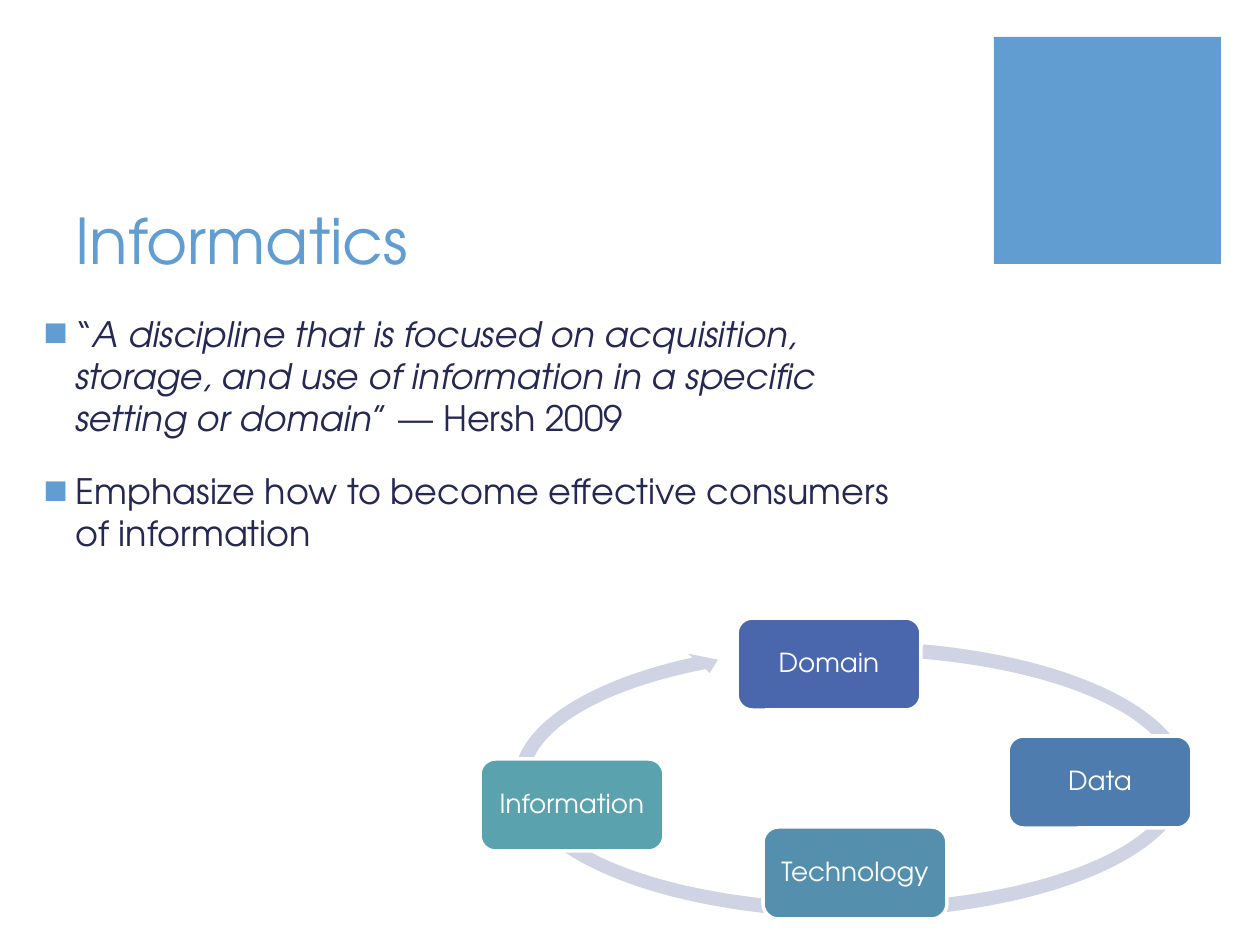
import pptx
import pptx.dml.color
import pptx.enum.shapes
import pptx.enum.text
import pptx.oxml
import pptx.oxml.ns
import pptx.util

PX = 914400 / 126  # EMU per px
FONT = "TeX Gyre Adventor"
COLORS = {
    "accent": "629DD1",
    "text": "242852",
    "ring": "D0D3E3",
    "white": "FFFFFF",
    "domain": "4A66AC",
    "data": "4E7CAE",
    "technology": "5490AE",
    "information": "5AA2AE",
}
NODE_SIZE = (184, 92)
NODES = [
    ("Domain", 737, 618),
    ("Data", 1008, 736),
    ("Technology", 763, 827),
    ("Information", 480, 759),
]
# Each bullet is a list of (text, italic) runs
BULLETS = [
    [
        ("“", False),
        ("A discipline that is focused on acquisition, storage, and use of "
         "information in a specific setting or domain", True),
        ("” — Hersh 2009", False),
    ],
    [("Emphasize how to become effective consumers of information", False)],
]
SHAPE = pptx.enum.shapes.MSO_SHAPE
ANCHOR = pptx.enum.text.MSO_ANCHOR
ALIGN = pptx.enum.text.PP_ALIGN


def px(n):
    return pptx.util.Emu(round(n * PX))


def color(name):
    return pptx.dml.color.RGBColor.from_string(COLORS[name])


def style_run(r, size, color_name, italic=False):
    r.font.name = FONT
    r.font.size = pptx.util.Pt(size)
    r.font.italic = italic
    r.font.color.rgb = color(color_name)


def add_filled_shape(slide, kind, box, fill):
    sp = slide.shapes.add_shape(kind, *map(px, box))
    sp.shadow.inherit = False
    sp.fill.solid()
    sp.fill.fore_color.rgb = color(fill)
    sp.line.fill.background()
    return sp


def set_title(slide, text, box):
    title = slide.shapes.title
    title.left, title.top, title.width, title.height = map(px, box)
    tf = title.text_frame
    tf.text = text
    tf.vertical_anchor = ANCHOR.BOTTOM
    p = tf.paragraphs[0]
    p.alignment = ALIGN.LEFT
    style_run(p.runs[0], 36, "accent")


def add_bullet(p, indent):
    pPr = p._p.get_or_add_pPr()
    pPr.set("marL", str(px(indent)))
    pPr.set("indent", str(-px(indent)))
    ns = pptx.oxml.ns.nsdecls("a")
    for xml in (
        f'<a:buClr {ns}><a:srgbClr val="{COLORS["accent"]}"/></a:buClr>',
        f'<a:buFont {ns} typeface="{FONT}"/>',
        f'<a:buChar {ns} char="■"/>',
    ):
        pPr.append(pptx.oxml.parse_xml(xml))


def add_bullets(slide, bullets, box):
    tf = slide.shapes.add_textbox(*map(px, box)).text_frame
    tf.word_wrap = True
    for i, runs in enumerate(bullets):
        p = tf.add_paragraph() if i else tf.paragraphs[0]
        add_bullet(p, 32)
        if i:
            p.space_before = pptx.util.Pt(18)
        for text, italic in runs:
            r = p.add_run()
            r.text = text
            style_run(r, 20, "text", italic)


def add_ring(slide, box):
    ring = add_filled_shape(slide, SHAPE.CIRCULAR_ARROW, box, "ring")
    # Thickness, head angle, end angle, start angle, head width
    for i, value in enumerate((0.05, 2.73, 130.38, 178.92, 0.05)):
        ring.adjustments[i] = value


def add_node(slide, label, left, top):
    box = (left, top, *NODE_SIZE)
    sp = add_filled_shape(slide, SHAPE.ROUNDED_RECTANGLE, box, label.lower())
    sp.line.color.rgb = color("white")
    sp.line.width = pptx.util.Pt(2)
    tf = sp.text_frame
    tf.margin_left = tf.margin_right = px(8)
    tf.margin_top = tf.margin_bottom = px(8)
    tf.word_wrap = True
    tf.vertical_anchor = ANCHOR.MIDDLE
    tf.text = label
    p = tf.paragraphs[0]
    p.alignment = ALIGN.CENTER
    p.line_spacing = 0.9
    style_run(p.runs[0], 15, "white")


def main():
    prs = pptx.Presentation()
    prs.slide_width, prs.slide_height = px(1260), px(945)
    slide = prs.slides.add_slide(prs.slide_layouts[5])

    # Corner square, title and body
    add_filled_shape(slide, SHAPE.RECTANGLE, (994, 37, 227, 227), "accent")
    set_title(slide, "Informatics", (63, 126, 897, 157))
    add_bullets(slide, BULLETS, (31, 306, 897, 539))

    # Cycle diagram
    add_ring(slide, (507, 634, 689, 291))
    for node in NODES:
        add_node(slide, *node)

    prs.save("out.pptx")


if __name__ == "__main__":
    main()
